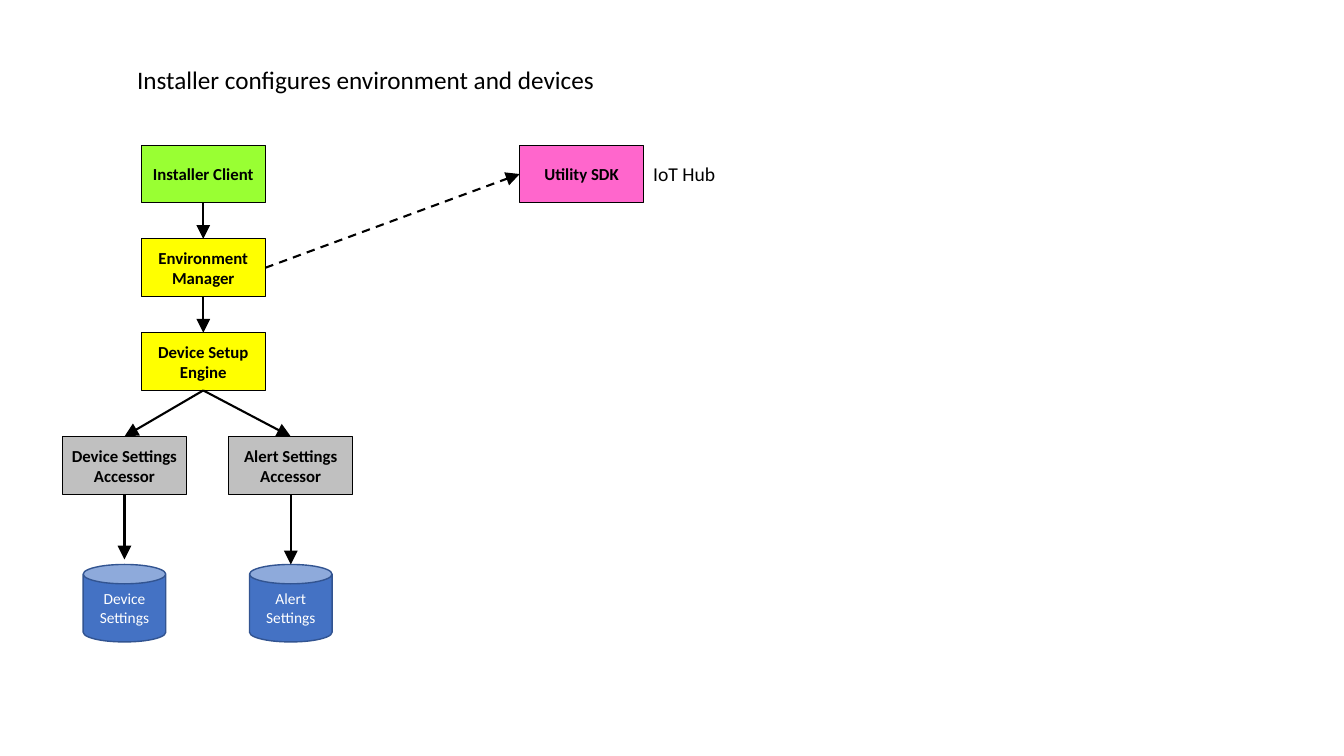
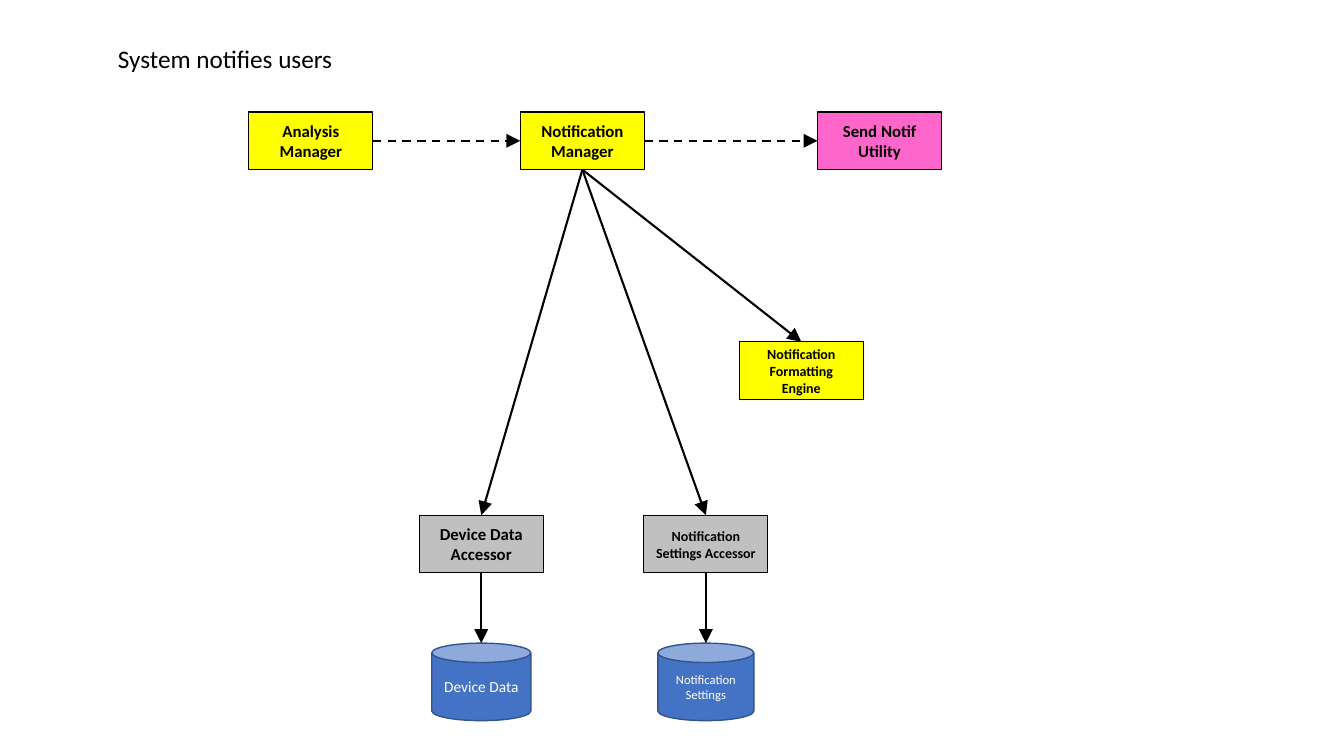
from lxml import etree
from pptx import Presentation
from pptx.dml.color import RGBColor
from pptx.enum import dml, shapes, text
from pptx.oxml import ns
from pptx.util import Pt

FONT = "Calibri"
BLACK, WHITE = "000000", "FFFFFF"
CLIENT, MANAGER, ACCESS, UTIL = "99FF33", "FFFF00", "C0C0C0", "FF66CC"
STORE, RIM = "4472C4", "325491"
WIDE, HIGH = 88.6, 41.2
CAN_W, CAN_H, DROP = 59, 55.4, 91.4
KIND = shapes.MSO_SHAPE
TOP, LEFT, BOTTOM, RIGHT = range(4)


def rgb(code):
    """Turn a hex string into a colour."""
    return RGBColor.from_string(code)


def write(shape, words, size=12, color=BLACK, bold=False, wrap=True,
          align=text.PP_ALIGN.CENTER, anchor=text.MSO_ANCHOR.MIDDLE,
          grow=False, side=7.2, edge=3.6):
    """Put formatted text into a shape, one paragraph a line."""
    frame = shape.text_frame
    frame.text = words
    frame.word_wrap = wrap
    frame.vertical_anchor = anchor
    frame.margin_left = frame.margin_right = Pt(side)
    frame.margin_top = frame.margin_bottom = Pt(edge)
    frame.auto_size = (text.MSO_AUTO_SIZE.SHAPE_TO_FIT_TEXT if grow
                       else text.MSO_AUTO_SIZE.NONE)
    for para in frame.paragraphs:
        para.alignment = align
        for run in para.runs:
            font = run.font
            font.name, font.size, font.bold = FONT, Pt(size), bold
            font.color.rgb = rgb(color)


def label(shape, words, size):
    """Format plain text that starts at the top left of its box."""
    write(shape, words, size=size, wrap=False, align=text.PP_ALIGN.LEFT,
          anchor=text.MSO_ANCHOR.TOP, grow=True)


def title(slide, words, x, y, width):
    """Move and fill the title placeholder."""
    head = slide.shapes.title
    head.left, head.top, head.width, head.height = map(Pt, (x, y, width, 28.8))
    label(head, words, 18)


def block(slide, kind, mid, y, width, height, fill, edge, weight):
    """Draw a filled shape centred on mid."""
    shape = slide.shapes.add_shape(
        kind, Pt(mid - width / 2), Pt(y), Pt(width), Pt(height))
    shape.shadow.inherit = False
    shape.fill.solid()
    shape.fill.fore_color.rgb = rgb(fill)
    shape.line.color.rgb = rgb(edge)
    shape.line.width = Pt(weight)
    return shape


def node(slide, words, mid, y, fill, size=12):
    """Draw a component box with slim margins."""
    shape = block(slide, KIND.RECTANGLE, mid, y, WIDE, HIGH, fill, BLACK, 0.75)
    write(shape, words, size=size, bold=True, side=3, edge=0)
    return shape


def arrow(slide, start, side, end=None, goal=TOP, point=(0, 0), dash=False):
    """Draw an arrow from a box side to another box side or a point."""
    x, y = map(Pt, point)
    link = slide.shapes.add_connector(shapes.MSO_CONNECTOR.STRAIGHT, x, y, x, y)
    link.begin_connect(start, side)
    if end is not None:
        link.end_connect(end, goal)
    link.line.color.rgb = rgb(BLACK)
    link.line.width = Pt(1.5)
    if dash:
        link.line.dash_style = dml.MSO_LINE.DASH
    props = link._element.spPr
    etree.SubElement(props.find(ns.qn("a:ln")), ns.qn("a:tailEnd"),
                     type="triangle", w="lg", len="lg")
    etree.SubElement(props, ns.qn("a:effectLst"))


def store(slide, mid, y, name, data, width=CAN_W, size=11, font=12, gap=0):
    """Draw an accessor with an arrow down to its data store."""
    box = node(slide, name, mid, y, ACCESS, size=font)
    base = y + DROP
    can = block(slide, KIND.CAN, mid, base, width, CAN_H, STORE, RIM, 1)
    write(can, data, size=size, color=WHITE)
    arrow(slide, box, BOTTOM, point=(mid, base - gap))
    return box


def setup(slide, x, y):
    """Draw the installer flow in the box that starts at x, y."""
    mid, step = x + 100.6, 67
    client = node(slide, "Installer Client", mid, y, CLIENT)
    manager = node(slide, "Environment Manager", mid, y + step, MANAGER)
    engine = node(slide, "Device Setup Engine", mid, y + 2 * step, MANAGER)
    tool = node(slide, "Utility SDK", x + 370.9, y, UTIL)
    arrow(slide, client, BOTTOM, manager)
    arrow(slide, manager, BOTTOM, engine)
    arrow(slide, manager, RIGHT, tool, LEFT, dash=True)
    for dx, name, gap in ((44.3, "Device", 3.6), (163.1, "Alert", 0)):
        data = f"{name} Settings"
        box = store(slide, x + dx, y + 208.1, f"{data} Accessor", data, gap=gap)
        arrow(slide, engine, BOTTOM, box)
    note = slide.shapes.add_textbox(Pt(x + 414.8), Pt(y + 8.6), Pt(59), Pt(24.5))
    label(note, "IoT Hub", 14)


def notify(slide, x, y):
    """Draw the notification flow in the box that starts at x, y."""
    source = node(slide, "Analysis\nManager", x + 44.3, y, MANAGER)
    hub = node(slide, "Notification\nManager", x + 238.2, y, MANAGER)
    tool = node(slide, "Send Notif\nUtility", x + 450.5, y, UTIL)
    engine = node(slide, "Notification Formatting\nEngine",
                  x + 394.6, y + 164.2, MANAGER, size=10)
    low = y + 288
    data = store(slide, x + 166, low, "Device Data Accessor", "Device Data",
                 width=70.8)
    prefs = store(slide, x + 326.4, low, "Notification Settings Accessor",
                  "Notification Settings", width=68.6, size=9, font=10)
    arrow(slide, source, RIGHT, hub, LEFT, dash=True)
    arrow(slide, hub, RIGHT, tool, LEFT, dash=True)
    for goal in (data, prefs, engine):
        arrow(slide, hub, BOTTOM, goal)


def main():
    """Build and save the deck."""
    deck = Presentation()
    deck.slide_width, deck.slide_height = Pt(960), Pt(540)
    pages = (
        ("Installer configures environment and devices",
         (90.7, 42.5, 344.9), setup, (44.6, 103.7)),
        ("System notifies users", (77, 27.4, 169.2), notify, (177.8, 80)),
    )
    for words, place, draw, spot in pages:
        slide = deck.slides.add_slide(deck.slide_layouts[5])
        title(slide, words, *place)
        draw(slide, *spot)
    deck.save("out.pptx")


if __name__ == "__main__":
    main()
